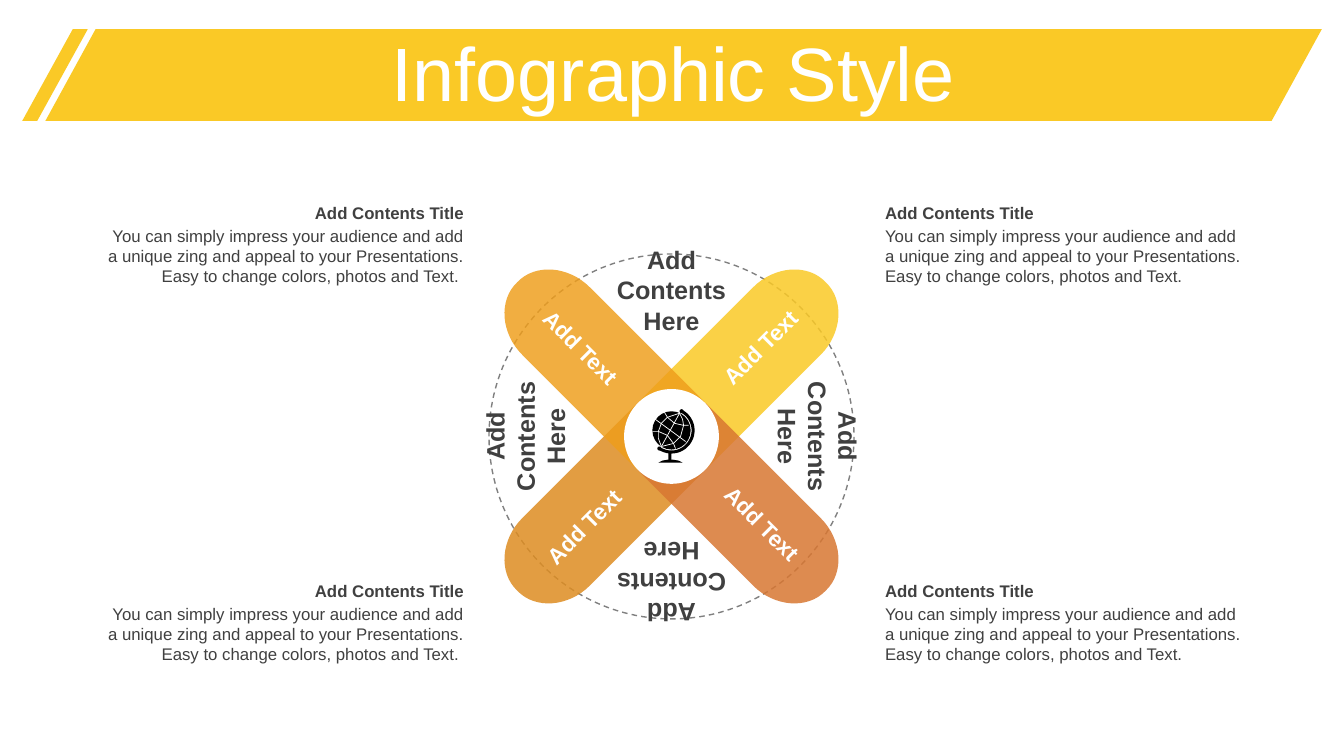
import math

from pptx import Presentation
from pptx import util as u
from pptx.dml.color import RGBColor
from pptx.enum import dml, shapes, text
from pptx.oxml.ns import qn
from lxml import etree

YELLOW = RGBColor(0xFA, 0xC9, 0x26)
AMBER = RGBColor(0xEF, 0x9E, 0x1B)
OCHRE = RGBColor(0xDE, 0x8D, 0x22)
RUST = RGBColor(0xD8, 0x77, 0x32)
WHITE = RGBColor(0xFF, 0xFF, 0xFF)
BLACK = RGBColor(0, 0, 0)
GREY = RGBColor(0x80, 0x80, 0x80)
DARK = RGBColor(0x40, 0x40, 0x40)

LEFT, CENTER, RIGHT = text.PP_ALIGN.LEFT, text.PP_ALIGN.CENTER, text.PP_ALIGN.RIGHT
CENTER_X, CENTER_Y = 6.66, 4.33


def bezier(p0, p1, p2, p3, steps=16):
    """Points along a cubic curve, both ends included."""
    points = []
    for step in range(steps + 1):
        t = step / steps
        weights = ((1 - t) ** 3, 3 * t * (1 - t) ** 2, 3 * t * t * (1 - t), t ** 3)
        points.append(tuple(sum(w * p[axis] for w, p in zip(weights, (p0, p1, p2, p3)))
                            for axis in (0, 1)))
    return points


def arc(x, y, radius, start, end, steps=30):
    angles = [math.radians(start + (end - start) * i / steps) for i in range(steps + 1)]
    return [(x + radius * math.cos(a), y + radius * math.sin(a)) for a in angles]


class SlidePainter:
    font = "Arial"

    def __init__(self, page):
        self.page = page

    def paint(self, shape, fill=None, line=None, width=1, opacity=100):
        shape.shadow.inherit = False
        if fill is None:
            shape.fill.background()
        else:
            shape.fill.solid()
            shape.fill.fore_color.rgb = fill
            if opacity < 100:
                color = shape.fill._xPr.find(qn("a:solidFill"))[0]
                etree.SubElement(color, qn("a:alpha"), val=str(opacity * 1000))
        if line is None:
            shape.line.fill.background()
        else:
            shape.line.color.rgb = line
            shape.line.width = u.Pt(width)
        return shape

    def shape(self, kind, left, top, width, height, adjust=None, **style):
        shape = self.page.shapes.add_shape(
            kind, u.Inches(left), u.Inches(top), u.Inches(width), u.Inches(height))
        if adjust is not None:
            shape.adjustments[0] = adjust
        return self.paint(shape, **style)

    def circle(self, x, y, radius, **style):
        return self.shape(shapes.MSO_SHAPE.OVAL, x - radius, y - radius,
                          2 * radius, 2 * radius, **style)

    def outline(self, points, close=True, **style):
        corners = [(u.Inches(x), u.Inches(y)) for x, y in points]
        builder = self.page.shapes.build_freeform(*corners[0])
        builder.add_line_segments(corners[1:], close=close)
        return self.paint(builder.convert_to_shape(), **style)

    def text(self, words, left, top, width, height, size, color=DARK, bold=False,
             align=CENTER, rotation=0, grow=True):
        box = self.page.shapes.add_textbox(
            u.Inches(left), u.Inches(top), u.Inches(width), u.Inches(height))
        box.rotation = rotation
        frame = box.text_frame
        frame.word_wrap = True
        if grow:
            frame.auto_size = text.MSO_AUTO_SIZE.SHAPE_TO_FIT_TEXT
        else:
            frame.vertical_anchor = text.MSO_ANCHOR.MIDDLE
        para = frame.paragraphs[0]
        para.alignment = align
        span = para.add_run()
        span.text = words
        span.font.name = self.font
        span.font.size = u.Pt(size)
        span.font.bold = bold
        span.font.color.rgb = color
        return para


def draw_header(painter):
    for left, width, slant in ((0.45, 12.66, 0.547), (0.22, 0.65, 0.771)):
        painter.shape(shapes.MSO_SHAPE.PARALLELOGRAM, left, 0.29, width, 0.91,
                      adjust=slant, fill=YELLOW)
    title = painter.text("Infographic Style", 0.35, 0.37, 12.66, 0.79, 54, WHITE, grow=False)
    title.line_spacing = 0.9


def draw_wheel(painter):
    ring = painter.circle(CENTER_X, CENTER_Y, 1.81, line=GREY)
    ring.line.dash_style = dml.MSO_LINE.DASH

    # Four petals: one outline mirrored around the centre
    petal = (bezier((1.53, -1.53), (1.72, -1.35), (1.69, -1.02), (1.48, -0.81))
             + [(0.34, 0.33), (-0.33, -0.34)]
             + bezier((0.81, -1.48), (1.02, -1.69), (1.35, -1.72), (1.53, -1.53)))
    for side, down, color, opacity in ((1, 1, YELLOW, 85), (-1, -1, OCHRE, 85),
                                       (-1, 1, AMBER, 83), (1, -1, RUST, 85)):
        painter.outline([(CENTER_X + side * x, CENTER_Y + down * y) for x, y in petal],
                        fill=color, opacity=opacity)
    painter.circle(CENTER_X, CENTER_Y, 0.47, fill=WHITE)

    # Labels between the petals, turned a quarter each time
    for angle in range(0, 360, 90):
        turn = math.radians(angle)
        x = CENTER_X + 1.64 * math.sin(turn)
        y = CENTER_Y - 1.64 * math.cos(turn)
        painter.text("Add Contents Here", x - 0.905, y - 0.315, 1.81, 0.63, 18,
                     bold=True, rotation=angle)

    # Labels on the petals
    for left, top, angle in ((6.77, 3.26, 315), (4.99, 3.26, 45),
                             (5.02, 5.04, 315), (6.79, 5.01, 45)):
        painter.text("Add Text", left, top, 1.54, 0.37, 16, WHITE, bold=True, rotation=angle)


def draw_descriptions(painter):
    body = ("You can simply impress your audience and add a unique zing and appeal "
            "to your Presentations. Easy to change colors, photos and Text.")
    for left, align, ending in ((8.68, LEFT, ""), (0.97, RIGHT, " ")):
        for top in (1.96, 5.71):
            painter.text(body + ending, left, top + 0.23, 3.73, 0.71, 12, align=align)
            painter.text("Add Contents Title", left, top, 3.73, 0.3, 12, bold=True, align=align)


def draw_globe(painter):
    x, y = 6.66, 4.27
    painter.circle(x, y, 0.19, fill=BLACK)
    north, south = (6.74, 4.1), (6.56, 4.43)
    grid = (
        (north, south),
        (north, (6.62, 4.14), (6.56, 4.2), (6.53, 4.28), (6.53, 4.35), south),
        (north, (6.77, 4.16), (6.78, 4.22), (6.75, 4.33), (6.68, 4.4), south),
        ((6.5, 4.16), (6.65, 4.27), (6.8, 4.38)),
        ((6.59, 4.09), (6.62, 4.14), (6.69, 4.2), (6.78, 4.22), (6.83, 4.22)),
        ((6.47, 4.28), (6.53, 4.28), (6.62, 4.32), (6.68, 4.4), (6.7, 4.45)),
    )
    for curve in grid:
        painter.outline(curve, close=False, line=WHITE, width=0.5)

    # Bracket, its two knobs, stem and foot
    painter.outline(arc(x, y, 0.23, -60, 120) + arc(x, y, 0.2, 120, -60), fill=BLACK)
    for knob_x, knob_y in ((6.76, 4.08), (6.54, 4.45)):
        painter.circle(knob_x, knob_y, 0.02, fill=BLACK)
    painter.shape(shapes.MSO_SHAPE.RECTANGLE, 6.63, 4.48, 0.03, 0.09, fill=BLACK)
    painter.outline([(6.53, 4.59), (6.57, 4.57), (6.63, 4.56), (6.67, 4.56),
                     (6.73, 4.57), (6.77, 4.59)], fill=BLACK)


def main():
    deck = Presentation()
    deck.slide_width, deck.slide_height = u.Inches(13.33), u.Inches(7.5)
    painter = SlidePainter(deck.slides.add_slide(deck.slide_layouts[6]))
    draw_header(painter)
    draw_wheel(painter)
    draw_descriptions(painter)
    draw_globe(painter)
    deck.save("out.pptx")


if __name__ == "__main__":
    main()
